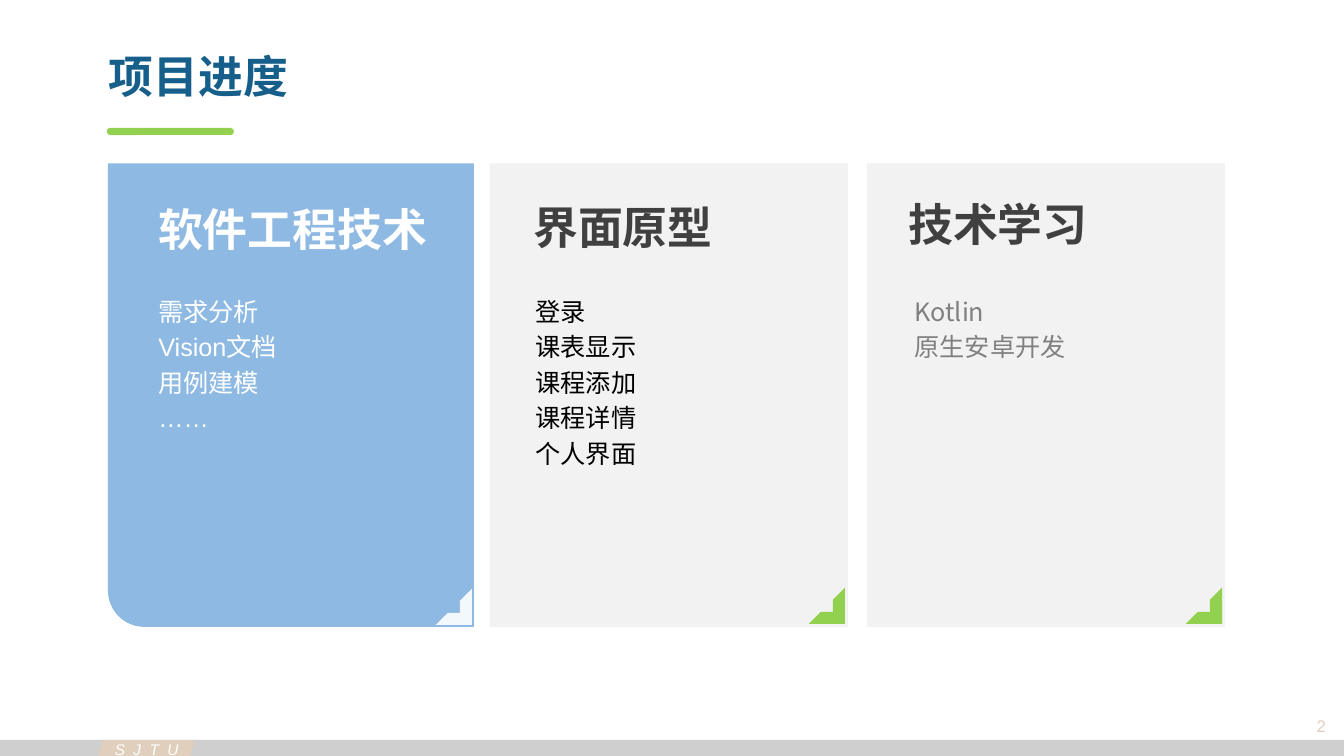
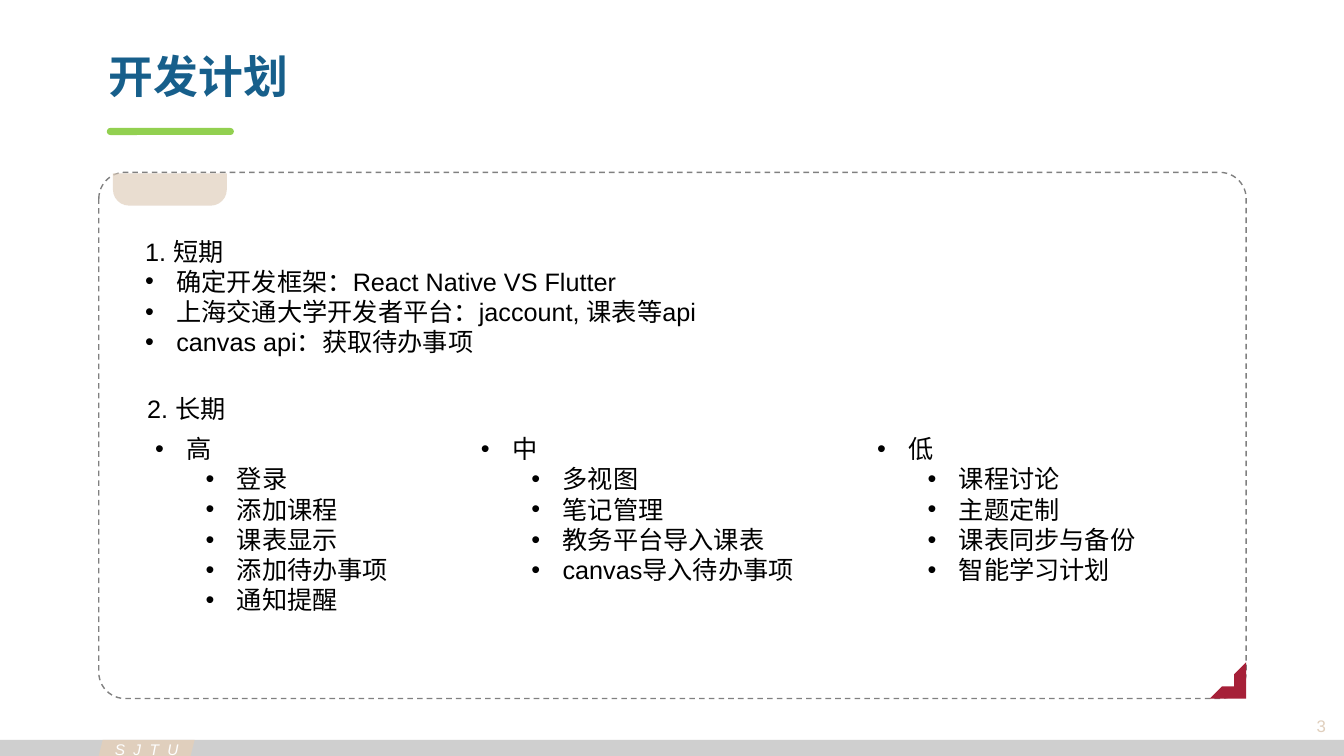
import copy
import dataclasses

import lxml.etree
import pptx
import pptx.dml.color
import pptx.enum.dml
import pptx.enum.shapes
import pptx.enum.text
import pptx.oxml.ns
import pptx.util

SHAPE = pptx.enum.shapes.MSO_SHAPE
ALIGN = pptx.enum.text.PP_ALIGN
ANCHOR = pptx.enum.text.MSO_ANCHOR
qn = pptx.oxml.ns.qn


@dataclasses.dataclass(frozen=True)
class Theme:
    title: str = "175F8B"
    accent: str = "92D050"
    sand: str = "E0CFBD"
    band: str = "BFBFBF"
    blue: str = "8DB9E2"
    card: str = "F2F2F2"
    crimson: str = "A62038"
    dark: str = "404040"
    grey: str = "808080"
    black: str = "000000"
    white: str = "FFFFFF"
    latin: str = "Arial"
    asian: str = "Noto Sans CJK SC"
    heading_size: int = 32
    body_size: int = 18
    number_size: int = 12
    tag_size: int = 11
    bullet_indent: float = 0.31
    level_indent: float = 0.5


THEME = Theme()


@dataclasses.dataclass(frozen=True)
class Box:
    """A rectangle in inches."""
    left: float
    top: float
    width: float
    height: float

    def inside(self, left, top, width, height):
        """A box given in percent of this one."""
        return Box(self.left + self.width * left / 100,
                   self.top + self.height * top / 100,
                   self.width * width / 100, self.height * height / 100)

    def lengths(self):
        return [pptx.util.Inches(value) for value in dataclasses.astuple(self)]


SLIDE = Box(0, 0, 13.33, 7.5)
TITLE = SLIDE.inside(7.35, 5.6, 80.2, 8.67)
PAGE_NUMBER = SLIDE.inside(90.92, 93.47, 8.48, 5.07)
FOLD = SLIDE.inside(0, 0, 2.7, 4.8)
BODY_COUNT = 4


def apply(target, values):
    for name, value in values.items():
        setattr(target, name, value)


def rgb(colour):
    return pptx.dml.color.RGBColor.from_string(colour)


# Building blocks

def add_shape(page, kind, box, fill=None, opacity=100, adjust=(), rotation=0):
    shape = page.shapes.add_shape(kind, *box.lengths())
    shape.shadow.inherit = False
    shape.rotation = rotation
    shape.line.fill.background()
    for index, value in enumerate(adjust):
        shape.adjustments[index] = value
    if fill is None:
        shape.fill.background()
        return shape
    shape.fill.solid()
    shape.fill.fore_color.rgb = rgb(fill)
    if opacity < 100:
        colour = shape._element.spPr.find(qn("a:solidFill")).find(qn("a:srgbClr"))
        alpha = lxml.etree.SubElement(colour, qn("a:alpha"))
        alpha.set("val", str(opacity * 1000))
    return shape


def set_bullet(para, level):
    """Level 0 has no bullet; 1 and 2 are nested bullets."""
    properties = para._p.get_or_add_pPr()
    hang = THEME.bullet_indent if level else 0
    margin = hang + THEME.level_indent * max(level - 1, 0)
    properties.set("marL", str(pptx.util.Inches(margin)))
    properties.set("indent", str(-pptx.util.Inches(hang)))
    if level:
        para.level = level - 1
        font = lxml.etree.SubElement(properties, qn("a:buFont"))
        font.set("typeface", THEME.latin)
        lxml.etree.SubElement(properties, qn("a:buChar")).set("char", "•")
    else:
        lxml.etree.SubElement(properties, qn("a:buNone"))


def write(holder, box, items, colour, size=THEME.body_size, font=THEME.latin,
          bold=False, italic=False, align=ALIGN.LEFT, spacing=1.0,
          anchor=ANCHOR.TOP, wrap=True):
    """Place a text holder and fill it with (level, text) items."""
    apply(holder, dict(zip(("left", "top", "width", "height"), box.lengths())))
    frame = holder.text_frame
    apply(frame, {"word_wrap": wrap, "vertical_anchor": anchor,
                  "auto_size": pptx.enum.text.MSO_AUTO_SIZE.NONE})
    for index, (level, text) in enumerate(items):
        para = frame.add_paragraph() if index else frame.paragraphs[0]
        set_bullet(para, level)
        apply(para, {"alignment": align, "line_spacing": spacing,
                     "space_before": pptx.util.Pt(0)})
        span = para.add_run()
        span.text = text
        apply(span.font, {"size": pptx.util.Pt(size), "name": font,
                          "bold": bold, "italic": italic})
        span.font.color.rgb = rgb(colour)
        asian = lxml.etree.SubElement(span._r.get_or_add_rPr(), qn("a:ea"))
        asian.set("typeface", THEME.asian)
    return holder


def add_text(page, box, items, colour, **style):
    return write(page.shapes.add_textbox(*box.lengths()), box, items, colour, **style)


def add_list(page, body, box, items, colour, **style):
    """Fill a body placeholder and bring it in front of the panels."""
    page.shapes._spTree.append(body._element)
    return write(body, box, items, colour, **style)


def add_fold(page, box, inset, fill, opacity=100):
    """Folded corner at the bottom right of a box."""
    fold = Box(box.left + box.width - FOLD.width - inset,
               box.top + box.height - FOLD.height - inset,
               FOLD.width, FOLD.height)
    add_shape(page, SHAPE.HALF_FRAME, fold, fill, opacity, rotation=180)


# Shared layout

def prepare_layout(deck):
    """Give the content layout enough body placeholders for every list."""
    layout = deck.slide_layouts[1]
    body = layout.placeholders[1]._element
    for number in range(1, BODY_COUNT):
        extra = copy.deepcopy(body)
        extra.xpath(".//p:cNvPr")[0].set("id", str(100 + number))
        extra.xpath(".//p:ph")[0].set("idx", str(20 + number))
        body.getparent().append(extra)
    return layout


def decorate_layout(page):
    """Draw the band, tag and title rule, then hand them to the layout."""
    parts = [
        add_shape(page, SHAPE.RECTANGLE, SLIDE.inside(0, 97.87, 100, 2.13),
                  THEME.band, 75),
        add_shape(page, SHAPE.PARALLELOGRAM, SLIDE.inside(7.35, 97.87, 7.13, 2.13),
                  THEME.sand),
        add_shape(page, SHAPE.ROUNDED_RECTANGLE, SLIDE.inside(7.95, 16.93, 9.45, 0.93),
                  THEME.accent, adjust=[0.5]),
        add_text(page, SLIDE.inside(7.8, 97.2, 6.98, 3.87), [(0, "SJTU")], THEME.white,
                 size=THEME.tag_size, italic=True, wrap=False),
    ]
    span = parts[-1].text_frame.paragraphs[0].runs[0]
    span._r.get_or_add_rPr().set("spc", "600")
    for number, part in enumerate(parts):
        part._element.xpath(".//p:cNvPr")[0].set("id", str(200 + number))
        page.slide_layout.shapes._spTree.append(part._element)


def add_page(deck, layout, title, number):
    page = deck.slides.add_slide(layout)
    bodies = [item for item in page.placeholders if item.placeholder_format.idx]
    write(page.shapes.title, TITLE, [(0, title)], THEME.title,
          size=THEME.heading_size, bold=True, anchor=ANCHOR.MIDDLE)
    add_text(page, PAGE_NUMBER, [(0, str(number))], THEME.sand,
             size=THEME.number_size, align=ALIGN.RIGHT, anchor=ANCHOR.MIDDLE)
    return page, bodies


def remove_unused(bodies):
    for body in bodies:
        body._element.getparent().remove(body._element)


# Progress page: three cards

@dataclasses.dataclass(frozen=True)
class Card:
    heading: str
    items: tuple
    left: float
    width: float
    heading_at: tuple
    list_left: float
    text: str
    font: str = THEME.asian
    active: bool = False


CARDS = (
    Card("软件工程技术", ("需求分析", "Vision文档", "用例建模", "……"),
         8.03, 27.23, (11.02, 10.87), 11.02, THEME.white, THEME.latin, True),
    Card("界面原型", ("登录", "课表显示", "课程添加", "课程详情", "个人界面"),
         36.46, 26.63, (9.3, 10.43), 9.86, THEME.black),
    Card("技术学习", ("Kotlin", "原生安卓开发"),
         64.52, 26.63, (8.73, 9.78), 10.42, THEME.grey),
)


def add_card(page, body, box, card):
    if card.active:
        add_shape(page, SHAPE.ROUND_1_RECTANGLE, box, THEME.blue,
                  adjust=[0.1], rotation=180)
        add_fold(page, box, 0.02, THEME.white, 90)
    else:
        add_shape(page, SHAPE.RECTANGLE, box, THEME.card)
        add_fold(page, box, 0.03, THEME.accent)
    add_text(page, box.inside(*card.heading_at, 84, 7.6), [(0, card.heading)],
             THEME.white if card.active else THEME.dark, size=THEME.heading_size,
             font=THEME.asian, bold=True, spacing=0.96, anchor=ANCHOR.MIDDLE)
    add_list(page, body, box.inside(card.list_left, 26.52, 80, 52),
             [(0, item) for item in card.items], card.text, font=card.font,
             align=ALIGN.JUSTIFY, spacing=1.17)


def build_progress(deck, layout):
    page, bodies = add_page(deck, layout, "项目进度", 2)
    decorate_layout(page)
    for body, card in zip(bodies, CARDS):
        add_card(page, body, SLIDE.inside(card.left, 21.6, card.width, 61.33), card)
    remove_unused(bodies[len(CARDS):])


# Plan page: short term above, three priorities below

SHORT_TERM = ("确定开发框架：React Native VS Flutter",
              "上海交通大学开发者平台：jaccount, 课表等api",
              "canvas api：获取待办事项")
PRIORITIES = (
    (4.04, 25.48, "高", ("登录", "添加课程", "课表显示", "添加待办事项", "通知提醒")),
    (32.43, 29.26, "中", ("多视图", "笔记管理", "教务平台导入课表", "canvas导入待办事项")),
    (66.96, 29.26, "低", ("课程讨论", "主题定制", "课表同步与备份", "智能学习计划")),
)


def add_panel(page, box):
    panel = add_shape(page, SHAPE.ROUNDED_RECTANGLE, box, adjust=[0.05])
    panel.line.color.rgb = rgb(THEME.grey)
    apply(panel.line, {"width": pptx.util.Pt(1),
                       "dash_style": pptx.enum.dml.MSO_LINE.DASH})
    add_shape(page, SHAPE.ROUND_2_SAME_RECTANGLE, box.inside(1.23, 0.19, 9.93, 6.13),
              THEME.sand, 70, adjust=[0.5, 0], rotation=180)
    add_fold(page, box, 0, THEME.crimson)


def add_plan(page, bodies, box):
    add_panel(page, box)
    add_list(page, bodies[0], box.inside(3.16, 11.11, 93.5, 25.1),
             [(0, "1. 短期")] + [(1, item) for item in SHORT_TERM], THEME.black)
    add_text(page, box.inside(3.34, 41, 39, 7.66), [(0, "2. 长期")], THEME.black)
    for body, (left, width, rank, items) in zip(bodies[1:], PRIORITIES):
        add_list(page, body, box.inside(left, 48.66, width, 42.53),
                 [(1, rank)] + [(2, item) for item in items], THEME.black)


def build_plan(deck, layout):
    page, bodies = add_page(deck, layout, "开发计划", 3)
    add_plan(page, bodies, SLIDE.inside(7.35, 22.8, 85.37, 69.6))


def main():
    deck = pptx.Presentation()
    apply(deck, {"slide_width": pptx.util.Inches(SLIDE.width),
                 "slide_height": pptx.util.Inches(SLIDE.height)})
    layout = prepare_layout(deck)
    build_progress(deck, layout)
    build_plan(deck, layout)
    deck.save("out.pptx")


if __name__ == "__main__":
    main()
